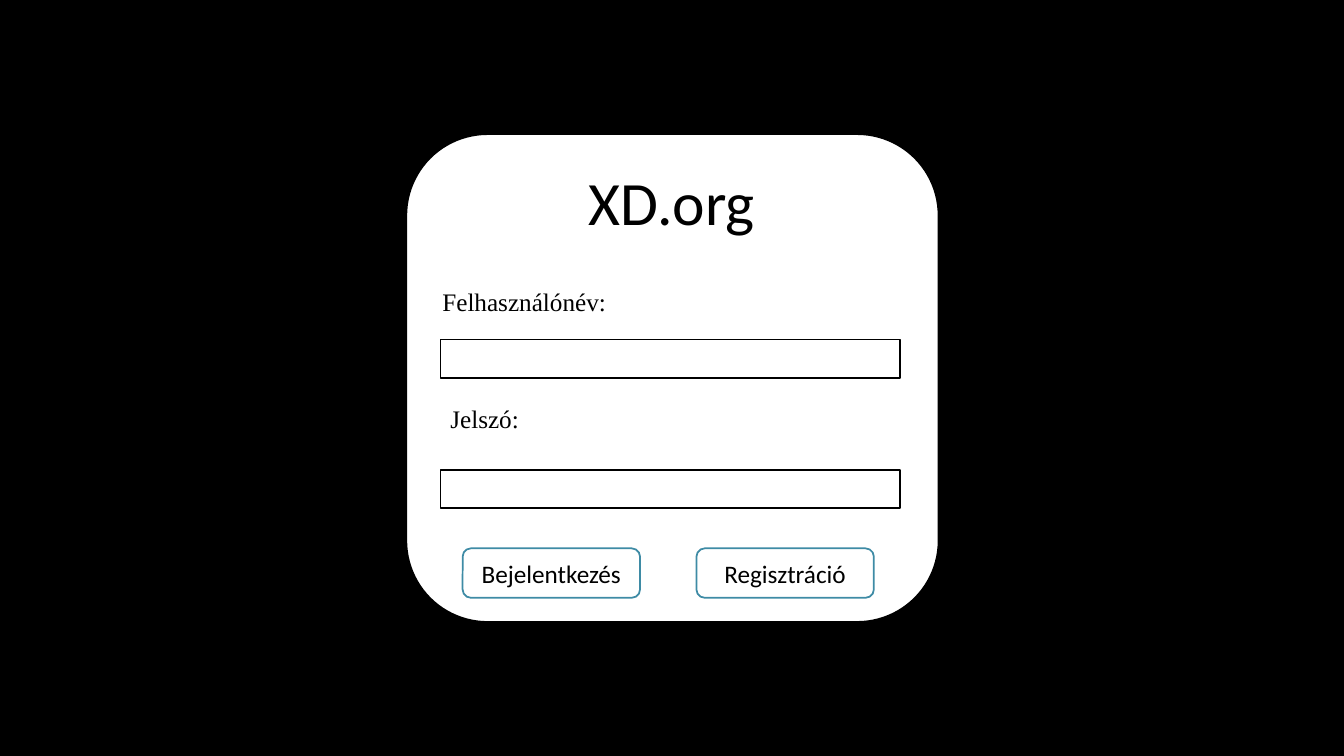
from pptx import Presentation
from pptx.dml.color import RGBColor
from pptx.enum.shapes import MSO_SHAPE
from pptx.enum.text import MSO_ANCHOR, MSO_AUTO_SIZE, PP_ALIGN
from pptx.util import Pt

BLACK, WHITE, TEAL = "000000", "FFFFFF", "3E8BA5"
SANS, SERIF = "Calibri", "Times New Roman"

# left, top, width, height in points
CARD = (290.2, 95.8, 380.2, 348.5)
TITLE = ("XD.org", (359.3, 113.8, 241.2, 60.5))
# label, label left, label top, label width, field top
FIELDS = [
    ("Felhasználónév:", 308.9, 200.9, 139, 242.6),
    ("Jelszó:", 314.6, 284.4, 126.7, 335.5),
]
FIELD_X, FIELD_W, FIELD_H = 314.6, 328.3, 27.4
LABEL_H = 28.8
BUTTONS = ["Bejelentkezés", "Regisztráció"]
BUTTON_X, BUTTON_Y, BUTTON_W, BUTTON_H = 330.5, 391.7, 126.7, 35.3
BUTTON_STEP = 167


def paint(color, code):
    color.rgb = RGBColor.from_string(code)


def write(shape, text, size, font, align):
    frame = shape.text_frame
    frame.word_wrap = True
    para = frame.paragraphs[0]
    para.text = text
    para.alignment = align
    para.font.size = Pt(size)
    para.font.name = font
    paint(para.font.color, BLACK)
    return frame


def add_box(slide, kind, box, line):
    shape = slide.shapes.add_shape(kind, *map(Pt, box))
    shape.shadow.inherit = False
    shape.fill.solid()
    paint(shape.fill.fore_color, WHITE)
    paint(shape.line.color, line)
    shape.line.width = Pt(1.25)
    return shape


def add_text(slide, text, box, size, font, align=PP_ALIGN.LEFT):
    shape = slide.shapes.add_textbox(*map(Pt, box))
    frame = write(shape, text, size, font, align)
    frame.auto_size = MSO_AUTO_SIZE.SHAPE_TO_FIT_TEXT


def main():
    deck = Presentation()
    deck.slide_width, deck.slide_height = Pt(960), Pt(540)
    slide = deck.slides.add_slide(deck.slide_layouts[6])
    back = slide.background.fill
    back.solid()
    paint(back.fore_color, BLACK)

    add_box(slide, MSO_SHAPE.ROUNDED_RECTANGLE, CARD, BLACK)
    add_text(slide, *TITLE, 44, SANS, PP_ALIGN.CENTER)

    for label, left, top, width, field_y in FIELDS:
        add_text(slide, label, (left, top, width, LABEL_H), 18, SERIF)
        field = (FIELD_X, field_y, FIELD_W, FIELD_H)
        add_box(slide, MSO_SHAPE.RECTANGLE, field, BLACK)

    for i, text in enumerate(BUTTONS):
        box = (BUTTON_X + i * BUTTON_STEP, BUTTON_Y, BUTTON_W, BUTTON_H)
        button = add_box(slide, MSO_SHAPE.ROUNDED_RECTANGLE, box, TEAL)
        frame = write(button, text, 18, SANS, PP_ALIGN.CENTER)
        frame.vertical_anchor = MSO_ANCHOR.MIDDLE

    deck.save("out.pptx")


if __name__ == "__main__":
    main()
